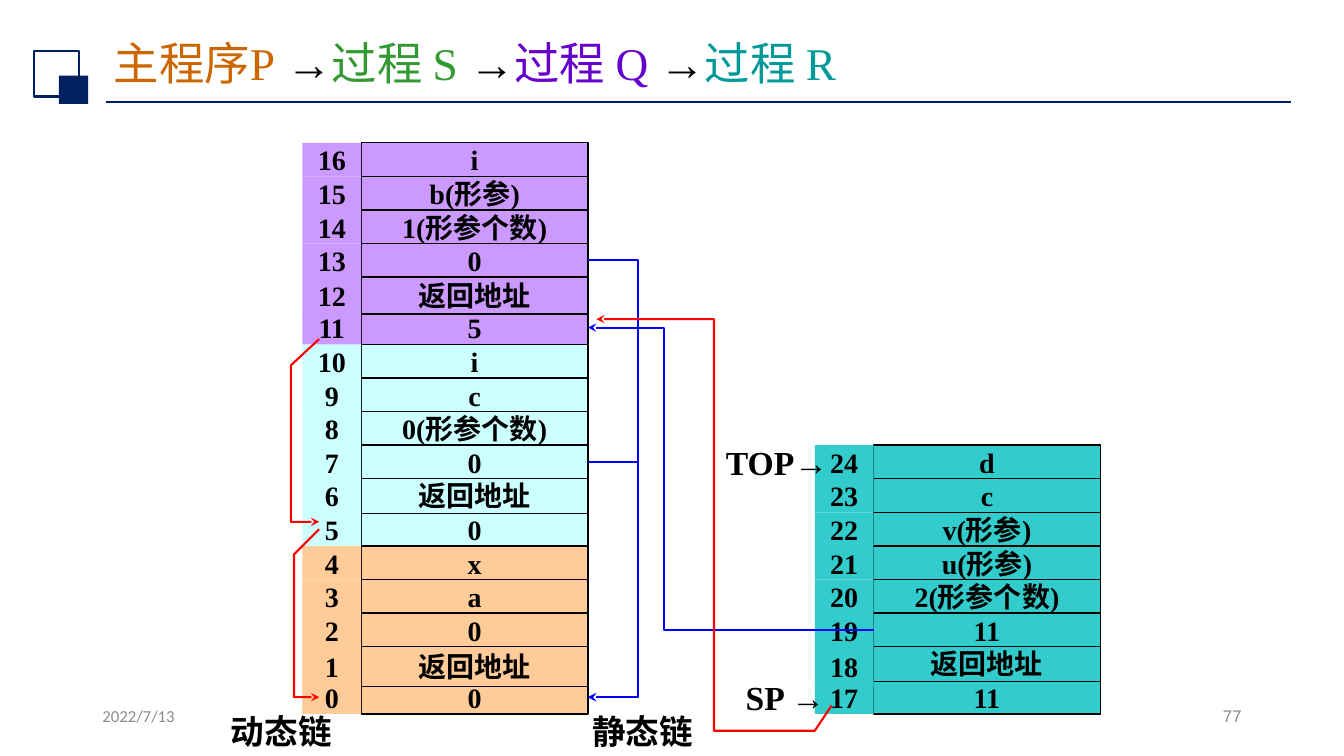
from dataclasses import dataclass

from lxml.etree import SubElement
from pptx import Presentation
from pptx.dml.color import RGBColor
from pptx.enum.shapes import MSO_CONNECTOR, MSO_SHAPE
from pptx.enum.text import MSO_ANCHOR as Anchor, PP_ALIGN as Align
from pptx.oxml.ns import qn
from pptx.util import Pt

PX = 9525
NAVY, BLACK, GRAY = "002060", "000000", "8C8C8C"
RED, BLUE = "FF0000", "0000FF"
ORANGE, CYAN, PURPLE, TEAL = "FFCC99", "CCFFFF", "CC99FF", "33CCCC"
SERIF = "Times New Roman"
ROW, BASE = 32, 648
NUM_W, VAL_W = 56, 216


@dataclass
class Box:
    left: int
    top: int
    width: int
    height: int

    def emu(self) -> list[int]:
        return [n * PX for n in (self.left, self.top, self.width, self.height)]


@dataclass
class Font:
    size: float
    name: str = SERIF
    color: str = BLACK
    bold: bool = False


@dataclass
class Frame:
    """One activation record: its cells run upward from number first."""
    first: int
    color: str
    cells: list[str]


@dataclass
class Stack:
    left: int
    start: int
    frames: list[Frame]


@dataclass
class Tall:
    """A return-address row: pixels raised, and the two cell heights."""
    lift: int
    value: int
    number: int


@dataclass
class Link:
    color: str
    points: list[tuple[int, int]]


@dataclass
class Label:
    box: Box
    text: str
    font: Font
    align: Align = Align.CENTER
    anchor: Anchor = Anchor.MIDDLE
    wrap: bool = False


RET = "返回地址"
STACKS = [
    Stack(288, 0, [
        Frame(0, ORANGE, ["0", RET, "0", "a", "x"]),
        Frame(5, CYAN, ["0", RET, "0", "0(形参个数)", "c", "i"]),
        Frame(11, PURPLE, ["5", RET, "0", "1(形参个数)", "b(形参)", "i"]),
    ]),
    Stack(776, 17, [
        Frame(17, TEAL, ["11", RET, "11", "2(形参个数)",
                         "u(形参)", "v(形参)", "c", "d"]),
    ]),
]
PLAIN = Tall(0, ROW, ROW)
TALL = {1: Tall(0, 38, 38), 6: Tall(1, 34, 34),
        12: Tall(1, 36, 36), 18: Tall(1, 34, 39)}
LINKS = [
    Link(RED, [(304, 504), (280, 528), (280, 664), (304, 664)]),
    Link(BLUE, [(560, 440), (608, 440), (608, 664), (560, 664)]),
    Link(RED, [(304, 323), (277, 348), (277, 497), (304, 497)]),
    Link(BLUE, [(560, 248), (608, 248), (608, 664), (560, 664)]),
    Link(BLUE, [(832, 600), (632, 600), (632, 312), (560, 312)]),
    Link(RED, [(792, 672), (776, 696), (680, 696), (680, 304), (568, 304)]),
]
CELL, MARK = Font(20, bold=True), Font(24, bold=True)
LABELS = [
    Label(Box(88, 667, 288, 38), "2022/7/13", Font(12, "Calibri", GRAY),
          Align.LEFT, Anchor.TOP, True),
    Label(Box(904, 667, 288, 38), "77", Font(12, "Arial", GRAY),
          Align.RIGHT, Anchor.TOP, True),
    Label(Box(200, 680, 136, ROW), "动态链", MARK),
    Label(Box(544, 680, 136, ROW), "静态链", MARK),
    Label(Box(680, BASE, 136, ROW), "SP →", MARK),
    Label(Box(672, 424, 136, ROW), "TOP→", MARK),
]
TITLE = [("主程序P", "CC6600"), (" →", BLACK), ("过程 S ", "339933"),
         ("→", BLACK), ("过程 Q ", "6600CC"), ("→", BLACK),
         ("过程 R", "009999")]


def rgb(color: str) -> RGBColor:
    return RGBColor.from_string(color)


def style(run, font: Font) -> None:
    run.font.size, run.font.name = Pt(font.size), font.name
    run.font.bold, run.font.color.rgb = font.bold, rgb(font.color)


def write(shape, label: Label) -> None:
    frame = shape.text_frame
    frame.text = label.text
    frame.word_wrap, frame.vertical_anchor = label.wrap, label.anchor
    para = frame.paragraphs[0]
    para.alignment = label.align
    style(para.runs[0], label.font)


def rect(shapes, box: Box, fill: str = "", line: str = "", width: float = 1):
    shape = shapes.add_shape(MSO_SHAPE.RECTANGLE, *box.emu())
    shape.shadow.inherit = False
    if fill:
        shape.fill.solid()
        shape.fill.fore_color.rgb = rgb(fill)
    else:
        shape.fill.background()
    if line:
        shape.line.color.rgb, shape.line.width = rgb(line), Pt(width)
    else:
        shape.line.fill.background()
    return shape


def cell(shapes, box: Box, text: str, fill: str, line: str = "") -> None:
    shape = rect(shapes, box, fill, line)
    shape.text_frame.margin_top = shape.text_frame.margin_bottom = 0
    write(shape, Label(box, text, CELL))


def pile(shapes, stack: Stack) -> None:
    for frame in stack.frames:
        for num, text in enumerate(frame.cells, frame.first):
            tall = TALL.get(num, PLAIN)
            top = BASE - ROW * (num - stack.start) - tall.lift
            cell(shapes, Box(stack.left + NUM_W, top, VAL_W, tall.value),
                 text, frame.color, BLACK)
            cell(shapes, Box(stack.left, top, NUM_W, tall.number),
                 str(num), frame.color)


def arrow(shapes, link: Link) -> None:
    start, *rest = link.points
    pen = shapes.build_freeform(*start, scale=PX)
    pen.add_line_segments(rest, close=False)
    shape = pen.convert_to_shape()
    shape.shadow.inherit = False
    shape.fill.background()
    shape.line.color.rgb, shape.line.width = rgb(link.color), Pt(1.5)
    SubElement(shape.line._get_or_add_ln(), qn("a:tailEnd"), type="stealth")


def head(shapes) -> None:
    rule = shapes.add_connector(MSO_CONNECTOR.STRAIGHT,
                                *[n * PX for n in (101, 97, 1230, 97)])
    rule.line.color.rgb, rule.line.width = rgb(NAVY), Pt(1.25)
    SubElement(rule._element.spPr, qn("a:effectLst"))
    rect(shapes, Box(32, 49, 43, 43), line=NAVY, width=1.5)
    rect(shapes, Box(56, 72, 28, 27), fill=NAVY)
    frame = shapes.add_textbox(*Box(99, 33, 1104, 59).emu()).text_frame
    frame.word_wrap, frame.vertical_anchor = True, Anchor.MIDDLE
    para = frame.paragraphs[0]
    para.line_spacing = 0.9
    for text, color in TITLE:
        run = para.add_run()
        run.text = text
        style(run, Font(32.4, color=color))


def main() -> None:
    deck = Presentation()
    deck.slide_width, deck.slide_height = 1280 * PX, 720 * PX
    shapes = deck.slides.add_slide(deck.slide_layouts[6]).shapes
    head(shapes)
    for stack in STACKS:
        pile(shapes, stack)
    for label in LABELS:
        write(shapes.add_textbox(*label.box.emu()), label)
    for link in LINKS:
        arrow(shapes, link)
    deck.save("out.pptx")


if __name__ == "__main__":
    main()
